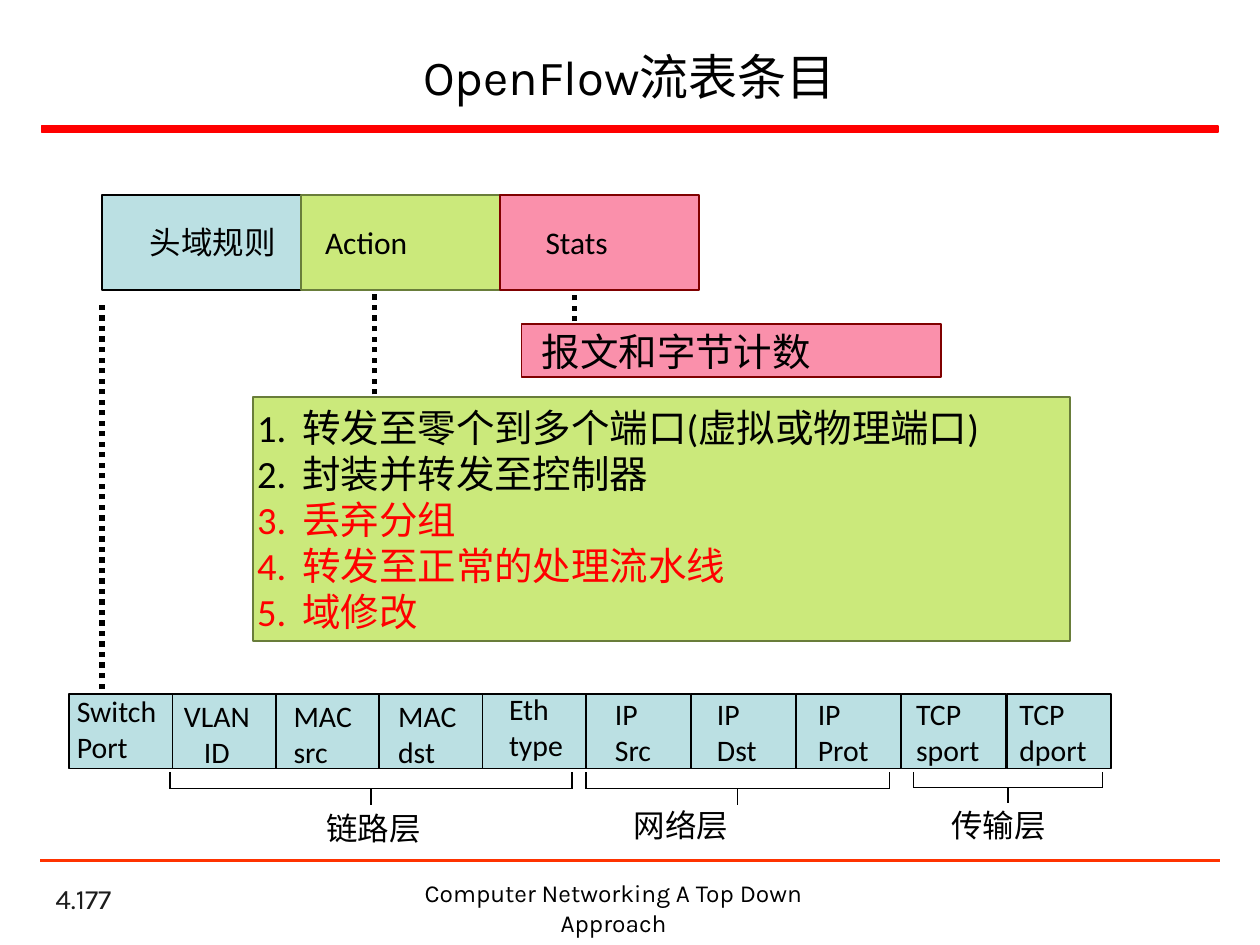
from lxml.etree import SubElement
from pptx import Presentation
from pptx.dml.color import RGBColor
from pptx.enum.dml import MSO_LINE_DASH_STYLE as Dash
from pptx.enum.shapes import MSO_CONNECTOR, MSO_SHAPE
from pptx.enum.text import MSO_ANCHOR as Anchor, MSO_AUTO_SIZE as AutoSize, PP_ALIGN as Align
from pptx.oxml.ns import qn
from pptx.util import Inches, Pt

BLACK, RED = "000000", "FF0000"
BLUE = ("BBE0E3", BLACK)
GREEN = ("CBE97B", "697D3A")
PINK = ("FA90AB", "800000")

# Three entry parts: text, colours, left and width of the label
ENTRY_PARTS = [("头域规则", BLUE, 1.19, 1.01), ("Action", GREEN, 2.58, 0.66),
               ("Stats", PINK, 4.33, 0.5)]
ACTIONS = [("转发至零个到多个端口(虚拟或物理端口)", BLACK), ("封装并转发至控制器", BLACK),
           ("丢弃分组", RED), ("转发至正常的处理流水线", RED), ("域修改", RED)]
# Header fields: two lines, then left, top and width of the label
FIELDS = [
    ("Switch", "Port", 0.61, 5.5, 0.64), ("VLAN", "ID", 1.46, 5.54, 0.53),
    ("MAC", "src", 2.33, 5.54, 0.47), ("MAC", "dst", 3.16, 5.54, 0.47),
    ("Eth", "type", 4.04, 5.48, 0.43), ("IP", "Src", 4.88, 5.52, 0.29),
    ("IP", "Dst", 5.69, 5.52, 0.32), ("IP", "Prot", 6.49, 5.52, 0.41),
    ("TCP", "sport", 7.27, 5.52, 0.51), ("TCP", "dport", 8.09, 5.52, 0.55),
]


def color(value):
    return RGBColor.from_string(value)


def add_text(paragraph, text, size, font="Calibri", text_color=BLACK, align=None):
    paragraph.alignment = align
    run = paragraph.add_run()
    run.text = text
    run.font.size = Pt(size)
    run.font.name = font
    run.font.color.rgb = color(text_color)
    properties = run._r.get_or_add_rPr()
    SubElement(properties, qn("a:ea")).set("typeface", font)


def set_margins(frame, margin):
    frame.margin_left = frame.margin_right = Inches(margin)
    frame.margin_top = frame.margin_bottom = Inches(margin)


def add_box(slide, left, top, width, height, fill, line):
    shape = slide.shapes.add_shape(MSO_SHAPE.RECTANGLE, Inches(left), Inches(top),
                                   Inches(width), Inches(height))
    shape.shadow.inherit = False
    shape.fill.solid()
    shape.fill.fore_color.rgb = color(fill)
    shape.line.color.rgb = color(line)
    shape.line.width = Pt(1)
    return shape


def add_textbox(slide, left, top, width, height, wrap=True):
    box = slide.shapes.add_textbox(Inches(left), Inches(top), Inches(width), Inches(height))
    box.text_frame.word_wrap = wrap
    return box.text_frame


def add_label(slide, left, top, width, height, lines, size, last_align=None):
    """Place tight, unwrapped text over a box."""
    frame = add_textbox(slide, left, top, width, height, wrap=False)
    set_margins(frame, 0)
    frame.vertical_anchor = Anchor.MIDDLE
    frame.auto_size = AutoSize.SHAPE_TO_FIT_TEXT
    add_text(frame.paragraphs[0], lines[0], size)
    for line in lines[1:]:
        add_text(frame.add_paragraph(), line, size, align=last_align)


def add_line(slide, start, end, width, line_color=BLACK, dash=None):
    points = [Inches(value) for value in (*start, *end)]
    line = slide.shapes.add_connector(MSO_CONNECTOR.STRAIGHT, *points)
    line.line.color.rgb = color(line_color)
    line.line.width = Pt(width)
    if dash:
        line.line.dash_style = dash
    SubElement(line._element.spPr, qn("a:effectLst"))


def add_bracket(slide, left, right, top, depth):
    """Draw a square bracket open upwards, with a stem below its middle."""
    base, middle = top + depth, (left + right) / 2
    for start, end in [((left, top), (left, base)), ((left, base), (right, base)),
                       ((right, top), (right, base)), ((middle, base), (middle, base + depth))]:
        add_line(slide, start, end, 0.75)


def add_page_frame(slide):
    title = slide.shapes.title
    title.left, title.top = Inches(0.37), Inches(0.25)
    title.width, title.height = Inches(9.25), Inches(0.7)
    title.text_frame.vertical_anchor = Anchor.MIDDLE
    add_text(title.text_frame.paragraphs[0], "OpenFlow流表条目", 28, "Karla", align=Align.CENTER)
    add_box(slide, 0.33, 1, 9.34, 0.05, RED, RED)
    add_line(slide, (0.32, 6.83), (9.68, 6.83), 1.5, "FF3300")
    number = add_textbox(slide, 0.34, 6.98, 2.08, 0.33)
    number.vertical_anchor = Anchor.BOTTOM
    add_text(number.paragraphs[0], "4.177", 16, "Karla", "1C1C1C")
    footer = add_textbox(slide, 2.83, 6.92, 4.08, 0.34)
    add_text(footer.paragraphs[0], "Computer Networking A Top Down Approach", 14, "Karla",
             align=Align.CENTER)


def add_entry_parts(slide):
    for column, (text, colors, left, width) in enumerate(ENTRY_PARTS):
        add_box(slide, 0.81 + 1.58 * column, 1.55, 1.58, 0.75, *colors)
        add_label(slide, left, 1.77, width, 0.3, [text], 18)


def add_action_list(slide):
    shape = add_box(slide, 2.01, 3.15, 6.48, 1.94, *GREEN)
    frame = shape.text_frame
    frame.word_wrap = True
    frame.vertical_anchor = Anchor.MIDDLE
    set_margins(frame, 0)
    for index, (text, text_color) in enumerate(ACTIONS):
        paragraph = frame.add_paragraph() if index else frame.paragraphs[0]
        properties = paragraph._p.get_or_add_pPr()
        properties.set("marL", str(Inches(0.39)))
        properties.set("indent", str(Inches(-0.36)))
        SubElement(properties, qn("a:buFont")).set("typeface", "Calibri")
        SubElement(properties, qn("a:buAutoNum")).set("type", "arabicPeriod")
        add_text(paragraph, text, 22, text_color=text_color, align=Align.LEFT)


def add_header_fields(slide):
    half = len(FIELDS) // 2
    for index, (first, second, left, top, width) in enumerate(FIELDS):
        column = index % half
        box_left = 0.55 + 0.82 * column if index < half else 4.65 + 0.835 * column
        add_box(slide, box_left, 5.51, 0.83, 0.59, *BLUE)
        align = Align.CENTER if second == "ID" else None
        add_label(slide, left, top, width, 0.57, [first, second], 17, align)


def add_layers(slide):
    for left, right, depth in [(1.35, 4.54, 0.13), (4.65, 7.06, 0.13), (7.25, 8.75, 0.12)]:
        add_bracket(slide, left, right, 6.13, depth)
    for text, left, top, width in [("链路层", 2.49, 6.37, 0.96), ("网络层", 4.93, 6.35, 0.96),
                                   ("传输层", 7.45, 6.35, 0.96)]:
        frame = add_textbox(slide, left, top, width, 0.4, wrap=False)
        frame.auto_size = AutoSize.SHAPE_TO_FIT_TEXT
        add_text(frame.paragraphs[0], text, 18)


def main():
    presentation = Presentation()
    presentation.slide_width, presentation.slide_height = Inches(10), Inches(7.5)
    slide = presentation.slides.add_slide(presentation.slide_layouts[5])
    add_page_frame(slide)
    add_entry_parts(slide)
    add_action_list(slide)
    for x, top, bottom in [(0.81, 2.39, 5.55), (2.97, 2.3, 3.13), (4.56, 2.3, 2.55)]:
        add_line(slide, (x, bottom), (x, top), 3, dash=Dash.ROUND_DOT)
    add_box(slide, 4.14, 2.57, 3.33, 0.42, *PINK)
    add_label(slide, 4.3, 2.6, 2.2, 0.37, ["报文和字节计数"], 22)
    add_layers(slide)
    add_header_fields(slide)
    presentation.save("out.pptx")


if __name__ == "__main__":
    main()
